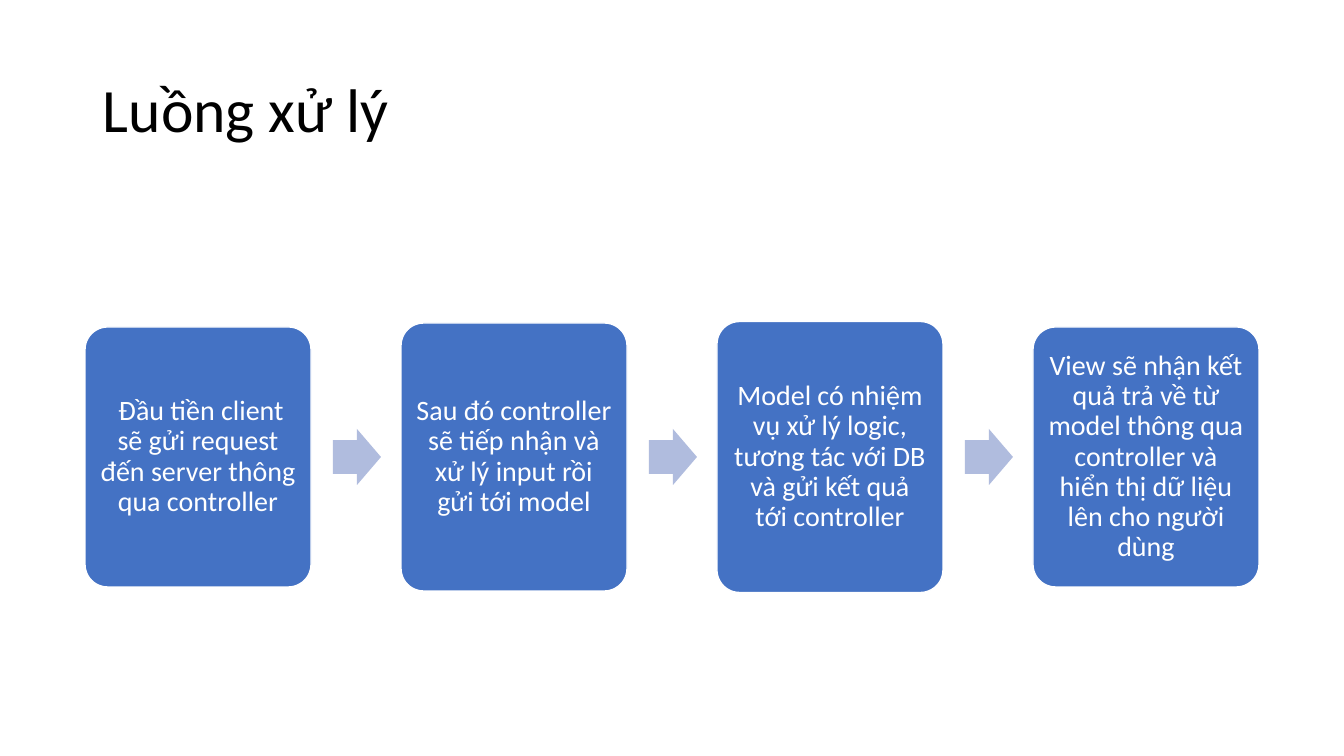
from pptx import Presentation
from pptx import util as u
from pptx.dml.color import RGBColor
from pptx.enum import shapes, text

BLACK = RGBColor(0x00, 0x00, 0x00)
WHITE = RGBColor(0xFF, 0xFF, 0xFF)
BLUE = RGBColor(0x44, 0x72, 0xC4)
PALE_BLUE = RGBColor(0xB0, 0xBC, 0xDE)


def px(pixels):
    return u.Emu(round(pixels * 914400 / 100.8))


def write_text(shape, content, *, size, color, align, margin_x, margin_y):
    frame = shape.text_frame
    frame.word_wrap = True
    frame.auto_size = text.MSO_AUTO_SIZE.NONE
    frame.vertical_anchor = text.MSO_ANCHOR.MIDDLE
    frame.margin_left = frame.margin_right = px(margin_x)
    frame.margin_top = frame.margin_bottom = px(margin_y)
    paragraph = frame.paragraphs[0]
    paragraph.alignment = align
    paragraph.line_spacing = 0.9
    run = paragraph.add_run()
    run.text = content
    run.font.name = "Calibri"
    run.font.size = u.Pt(size)
    run.font.color.rgb = color


presentation = Presentation()
presentation.slide_width = px(1344)
presentation.slide_height = px(756)
slide = presentation.slides.add_slide(presentation.slide_layouts[5])

# Title
title = slide.shapes.title
title.left, title.top, title.width, title.height = px(93), px(40), px(1159), px(146)
write_text(title, "Luồng xử lý", size=44, color=BLACK,
           align=text.PP_ALIGN.LEFT, margin_x=10, margin_y=5)

# Process steps: text and box height
steps = [
    (" Đầu tiền client sẽ gửi request đến server thông qua controller", 260),
    ("Sau đó controller sẽ tiếp nhận và xử lý input rồi gửi tới model", 268),
    ("Model có nhiệm vụ xử lý logic, tương tác với DB và gửi kết quả tới controller", 271),
    ("View sẽ nhận kết quả trả về từ model thông qua controller và "
     "hiển thị dữ liệu lên cho người dùng", 260),
]
first_left, pitch, center_y = 85, 316, 457
box_width = 226
arrow_offset, arrow_width, arrow_height = 248, 48, 56

for index, (content, box_height) in enumerate(steps):
    left = first_left + index * pitch
    box = slide.shapes.add_shape(
        shapes.MSO_SHAPE.ROUNDED_RECTANGLE,
        px(left), px(center_y - box_height / 2), px(box_width), px(box_height))
    box.adjustments[0] = 0.1
    box.shadow.inherit = False
    box.fill.solid()
    box.fill.fore_color.rgb = BLUE
    box.line.color.rgb = WHITE
    box.line.width = u.Pt(1)
    write_text(box, content, size=20, color=WHITE,
               align=text.PP_ALIGN.CENTER, margin_x=8, margin_y=8)

    # Arrow to the next step
    if index < len(steps) - 1:
        arrow = slide.shapes.add_shape(
            shapes.MSO_SHAPE.RIGHT_ARROW,
            px(left + arrow_offset), px(center_y - arrow_height / 2),
            px(arrow_width), px(arrow_height))
        arrow.adjustments[0] = 0.6
        arrow.adjustments[1] = 0.5
        arrow.shadow.inherit = False
        arrow.fill.solid()
        arrow.fill.fore_color.rgb = PALE_BLUE
        arrow.line.fill.background()

presentation.save("out.pptx")
